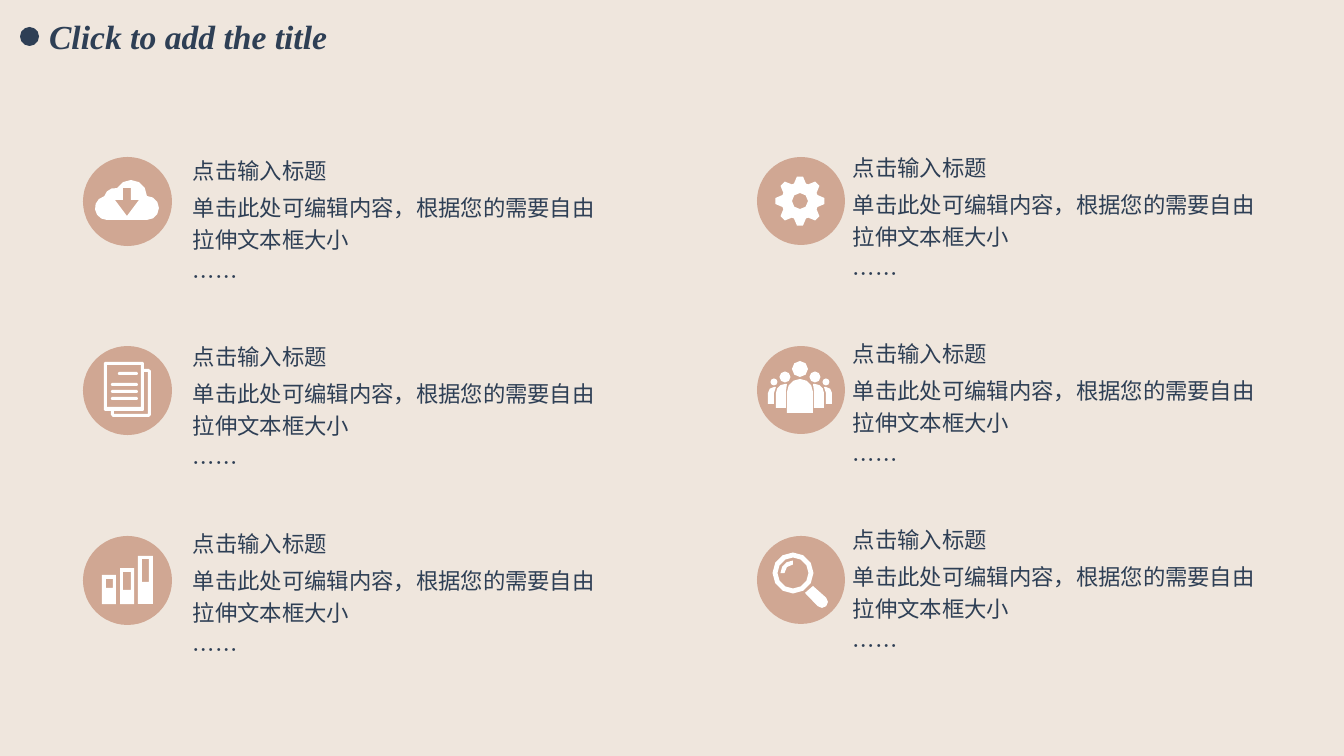
from dataclasses import dataclass
from math import cos, radians, sin

from lxml import etree
from pptx import Presentation
from pptx import util as u
from pptx.dml.color import RGBColor
from pptx.enum import shapes, text
from pptx.oxml import ns

# Content
TITLE = "Click to add the title"
ENTRY = ["点击输入标题", "单击此处可编辑内容，根据您的需要自由拉伸文本框大小", "……"]
ICON_GRID = [("cloud", "gear"), ("document", "people"), ("bars", "magnifier")]

# Layout in px
SLIDE_SIZE = (1344, 756)
TITLE_BOX = (39, 11, 318, 50)
BULLET_DOT = (20, 27, 19, 19)
ROW_CENTRES = (201, 390, 580)
TEXT_SIZE = (409, 141)
COLUMNS = [
    {"disc_left": 83, "disc": 89, "text_left": 193, "text_tops": (152, 338, 525)},
    {"disc_left": 757, "disc": 88, "text_left": 853, "text_tops": (149, 335, 521)},
]


@dataclass(frozen=True)
class Theme:
    background: RGBColor = RGBColor(0xEF, 0xE6, 0xDD)
    ink: RGBColor = RGBColor(0x2E, 0x3F, 0x55)
    disc: RGBColor = RGBColor(0xD0, 0xA7, 0x93)
    icon: RGBColor = RGBColor(0xFF, 0xFF, 0xFF)
    title_font: str = "Times New Roman"
    body_font: str = "Noto Sans CJK SC"
    title_size: int = 24
    body_size: int = 16


THEME = Theme()


def px(length):
    return u.Emu(round(length * 12192000 / SLIDE_SIZE[0]))


# Outlines, relative to the centre of a disc
def arc(x, y, radius, start, end):
    step = 45 if radius < 9 else 30
    steps = max(2, round(abs(end - start) / step))
    angles = [radians(start + (end - start) * i / steps) for i in range(steps + 1)]
    return [(x + radius * cos(a), y + radius * sin(a)) for a in angles]


def circle(x, y, radius):
    return arc(x, y, radius, 0, 360)[:-1]


def box(left, top, right, bottom, cut=0):
    if not cut:
        return [(left, top), (right, top), (right, bottom), (left, bottom)]
    return [(left + cut, top), (right - cut, top), (right, top + cut), (right, bottom - cut),
            (right - cut, bottom), (left + cut, bottom), (left, bottom - cut), (left, top + cut)]


def mirror(points):
    return [(-x, y) for x, y in points]


def gear_outline():
    tooth = [(17.5, -6), (24.5, -3), (24.5, 3), (17.5, 6)]
    turns = [radians(45 * i) for i in range(8)]
    return [(x * cos(a) - y * sin(a), x * sin(a) + y * cos(a))
            for a in turns for x, y in tooth]


def people_outlines():
    side = [
        circle(15, -13, 5.5),
        [(14, 18), (14, 1), (13, -6)] + arc(15, 3, 9, 270, 360) + [(24, 18)],
        circle(26, -8, 3.5),
        [(26, 14), (26, 3), (24, -3)] + arc(26, 3, 6, 270, 360) + [(32, 14)],
    ]
    leader = [circle(0, -21, 8), arc(0, 2, 13, 180, 360) + [(13, 23), (-13, 23)]]
    return leader + side + [mirror(outline) for outline in side]


# Each icon is a list of shapes, each shape a list of outlines
CLOUD = (arc(-20, 7, 12, 90, 255) + arc(-12, -2, 11, 195, 280)
         + arc(4, -5, 16, 210, 360) + arc(20, 7, 12, 270, 450))
DOWN_ARROW = [(0, 15), (-12, -1), (-4, -1), (-4, -13), (4, -13), (4, -1), (12, -1)]
BACK_PAGE = [(17, -21), (22, -21), (24, -19), (24, 25), (22, 27), (-14, 27), (-16, 25),
             (-16, 21), (-13, 21), (-13, 24), (21, 24), (21, -18), (17, -18)]
TEXT_LINES = [(-9, -18), (-16, -7), (-16, 0), (-16, 7)]
BARS = [((-25, -5, -11, 24), (-21, -1, -14, 8)),
        ((-7, -12, 7, 24), (-4, -8, 4, 10)),
        ((11, -24, 26, 24), (15, -21, 22, 2))]
ICONS = {
    "cloud": [[CLOUD, DOWN_ARROW]],
    "document": [[box(-23, -28, 17, 21, 1), box(-20, -25, 14, 17), BACK_PAGE]]
    + [[box(left, top, 11, top + 3, 1)] for left, top in TEXT_LINES],
    "bars": [[box(*bar), box(*window)] for bar, window in BARS],
    "gear": [[gear_outline(), circle(0, 0, 8)]],
    "people": [people_outlines()],
    "magnifier": [
        [[(13, 6)] + arc(22, 22, 6, -45, 135) + [(5, 13)]],
        [circle(-7, -7, 20.5), circle(-7, -7, 15.5)],
        [arc(-7, -7, 12.5, 180, 270) + arc(-7, -7, 8.5, 270, 180)],
    ],
}


# Drawing helpers
def paint(shape, color):
    shape.shadow.inherit = False
    shape.fill.solid()
    shape.fill.fore_color.rgb = color
    shape.line.fill.background()


def add_disc(slide, frame, color):
    disc = slide.shapes.add_shape(shapes.MSO_SHAPE.OVAL, *map(px, frame))
    paint(disc, color)


def add_icon(slide, name, x, y):
    for outlines in ICONS[name]:
        placed = [[(px(x + dx), px(y + dy)) for dx, dy in outline] for outline in outlines]
        builder = slide.shapes.build_freeform(*placed[0][0])
        for index, points in enumerate(placed):
            if index:
                builder.move_to(*points[0])
            builder.add_line_segments(points[1:], close=True)
        paint(builder.convert_to_shape(), THEME.icon)


def style_run(run, font_name, size):
    run.font.name = font_name
    run.font.size = u.Pt(size)
    run.font.color.rgb = THEME.ink
    east_asian = etree.SubElement(run.font._element, ns.qn("a:ea"))
    east_asian.set("typeface", font_name)


def add_entry(slide, left, top):
    frame = slide.shapes.add_textbox(*map(px, (left, top, *TEXT_SIZE))).text_frame
    frame.word_wrap = True
    frame.margin_left = frame.margin_right = frame.margin_top = frame.margin_bottom = 0
    frame.text = "\n".join(ENTRY)
    for index, paragraph in enumerate(frame.paragraphs):
        paragraph.line_spacing = 1.2
        if index:
            paragraph.space_before = u.Pt(THEME.body_size * 0.2)
        style_run(paragraph.runs[0], THEME.body_font, THEME.body_size)


def add_title(slide):
    title = slide.shapes.title
    title.left, title.top, title.width, title.height = map(px, TITLE_BOX)
    frame = title.text_frame
    frame.text = TITLE
    frame.word_wrap = False
    frame.vertical_anchor = text.MSO_ANCHOR.MIDDLE
    frame.paragraphs[0].alignment = text.PP_ALIGN.LEFT
    run = frame.paragraphs[0].runs[0]
    style_run(run, THEME.title_font, THEME.title_size)
    run.font.bold = run.font.italic = True


def main():
    presentation = Presentation()
    presentation.slide_width, presentation.slide_height = map(px, SLIDE_SIZE)
    slide = presentation.slides.add_slide(presentation.slide_layouts.get_by_name("Title Only"))
    slide.background.fill.solid()
    slide.background.fill.fore_color.rgb = THEME.background

    # Heading
    add_title(slide)
    add_disc(slide, BULLET_DOT, THEME.ink)

    # Grid of icons and entries
    for row, (names, centre_y) in enumerate(zip(ICON_GRID, ROW_CENTRES)):
        for name, column in zip(names, COLUMNS):
            size = column["disc"]
            add_disc(slide, (column["disc_left"], centre_y - size // 2, size, size), THEME.disc)
            add_icon(slide, name, column["disc_left"] + (size - 1) // 2, centre_y)
            add_entry(slide, column["text_left"], column["text_tops"][row])

    presentation.save("out.pptx")


if __name__ == "__main__":
    main()
